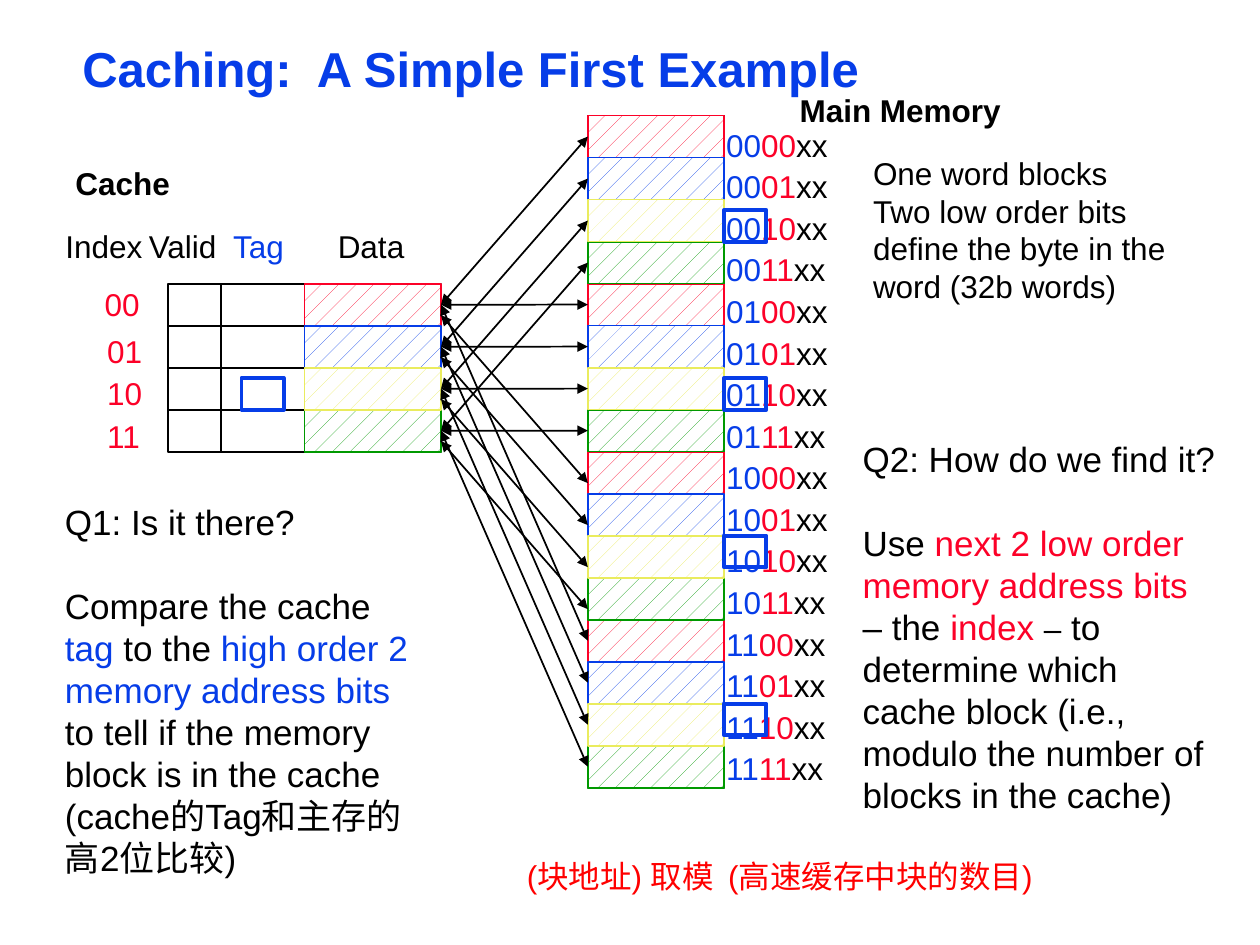
from collections import namedtuple

from lxml.etree import SubElement
from pptx import Presentation
from pptx.dml.color import RGBColor
from pptx.enum.dml import MSO_PATTERN
from pptx.enum.shapes import MSO_CONNECTOR, MSO_SHAPE
from pptx.enum.text import MSO_AUTO_SIZE
from pptx.oxml.ns import qn
from pptx.util import Cm, Pt

BLACK, BLUE, RED, GREEN, YELLOW = "000000", "063DE8", "FC0128", "009900", "EAEC5E"
BLOCK_COLORS = [RED, BLUE, YELLOW, GREEN]
DRAW_ORDER = [0, 3, 1, 2]  # red, green, blue, yellow: later outlines lie on top
INDEXES = ["00", "01", "10", "11"]

# All box measures are centimetres
Box = namedtuple("Box", "left top width height")

deck = Presentation()
deck.slide_width, deck.slide_height = Cm(25.4), Cm(19.05)
page = deck.slides.add_slide(deck.slide_layouts[6])


def color(hex_string):
    return RGBColor.from_string(hex_string)


def add_text(box, *paragraphs, size=18, ink=BLACK, bold=False, wrap=True,
             spacing=None, gap=0, insets=(0.25, 0.13)):
    """Each paragraph is a string or a list of (text, colour[, size]) spans."""
    shape = page.shapes.add_textbox(*map(Cm, box))
    frame = shape.text_frame
    frame.word_wrap = wrap
    frame.auto_size = MSO_AUTO_SIZE.SHAPE_TO_FIT_TEXT
    frame.margin_left = frame.margin_right = Cm(insets[0])
    frame.margin_top = frame.margin_bottom = Cm(insets[1])
    for number, content in enumerate(paragraphs):
        para = frame.add_paragraph() if number else frame.paragraphs[0]
        if spacing:
            para.line_spacing = spacing
        if number and gap:
            para.space_before = Pt(gap)
        spans = [(content, ink)] if isinstance(content, str) else content
        for text, span_color, *span_size in spans:
            span = para.add_run()
            span.text = text
            span.font.name = "Arial"
            span.font.size = Pt(span_size[0] if span_size else size)
            span.font.bold = bold
            span.font.color.rgb = color(span_color)


def add_box(box, line, weight=1, hatch=False):
    shape = page.shapes.add_shape(MSO_SHAPE.RECTANGLE, *map(Cm, box))
    shape.shadow.inherit = False
    shape.line.color.rgb = color(line)
    shape.line.width = Pt(weight)
    if hatch:
        shape.fill.patterned()
        shape.fill.pattern = MSO_PATTERN.PERCENT_5
        shape.fill.fore_color.rgb = color(line)
        shape.fill.back_color.rgb = color("FFFFFF")
    else:
        shape.fill.background()


def add_line(x1, y1, x2, y2, arrows=False):
    line = page.shapes.add_connector(MSO_CONNECTOR.STRAIGHT, *map(Cm, (x1, y1, x2, y2)))
    line.line.color.rgb = color(BLACK)
    line.line.width = Pt(1)
    properties = line._element.spPr
    if arrows:
        for end in ("a:headEnd", "a:tailEnd"):
            SubElement(properties.find(qn("a:ln")), qn(end), type="triangle")
    SubElement(properties, qn("a:effectLst"))


def add_column(box, rows):
    """An outlined column divided into equal rows."""
    add_box(box, BLACK)
    for row in range(1, rows):
        y = box.top + row * box.height / rows
        add_line(box.left, y, box.left + box.width, y)


def add_blocks(box, rows):
    """A column of hatched blocks whose colours repeat by index."""
    add_column(box, rows)
    height = box.height / rows
    for index in DRAW_ORDER:
        for row in range(index, rows, 4):
            add_box(Box(box.left, box.top + row * height, box.width, height),
                    BLOCK_COLORS[index], hatch=True)


def add_tag_frame(left, top):
    add_box(Box(left, top, 0.85, 0.64), BLUE, weight=2.25)


def draw_cache(box):
    valid_width, tag_width = 1.06, 1.69
    tag_left = box.left + valid_width
    data_left = tag_left + tag_width
    add_column(Box(box.left, box.top, valid_width, box.height), 4)
    add_column(Box(tag_left, box.top, tag_width, box.height), 4)
    add_blocks(Box(data_left, box.top, box.left + box.width - data_left, box.height), 4)
    # Headings
    add_text(Box(box.left - 2.12, box.top - 2.54, 2.41, 1.02), "Cache", bold=True, wrap=False)
    headings = [("Index", -2.32, 2.06, BLACK), ("Valid", -0.64, 1.93, BLACK),
                ("Tag", 1.06, 1.6, BLUE), ("Data", 3.17, 1.85, BLACK)]
    for text, shift, width, ink in headings:
        add_text(Box(box.left + shift, box.top - 1.27, width, 1.02), text, ink=ink, wrap=False)
    # Row indexes
    for row, index in enumerate(INDEXES):
        x, y = (-1.48, 0.85 * row) if row else (-1.53, -0.1)
        add_text(Box(box.left + x, box.top + y, 1.22, 1.02), index, ink=RED, wrap=False)
    add_tag_frame(tag_left + 0.42, box.top + 1.9)


def draw_memory(box):
    add_blocks(box, 16)
    right = box.left + box.width
    add_text(Box(right + 1.27, box.top - 0.63, 4.57, 1.02), "Main Memory", bold=True, wrap=False)
    # Word addresses: tag, index, byte
    addresses = [[(tag, BLUE), (index, RED), ("xx", BLACK)]
                 for tag in INDEXES for index in INDEXES]
    add_text(Box(right - 0.21, box.top, 2.75, 13.67), *addresses, spacing=1.1)
    for row, drop in [(2, 0.21), (6, 0.21), (10, 0), (14, 0)]:
        add_tag_frame(right, box.top + row * box.height / 16 + drop)


def draw_mapping(cache, memory):
    """Link every memory block to the cache block with the same index."""
    row_height = memory.height / 16
    for row in range(16):
        shift = 0.21 if row // 4 == 2 else 0
        middle = row_height / 2 + shift
        add_line(memory.left, memory.top + row * row_height + middle,
                 cache.left + cache.width, cache.top + row % 4 * row_height + middle,
                 arrows=True)


def draw_notes():
    add_text(Box(1.06, 9.95, 7.83, 7.95), "Q1: Is it there?",
             [("Compare the cache ", BLACK), ("tag", BLUE), (" to the ", BLACK),
              ("high order 2 memory address bits", BLUE),
              (" to tell if the memory block is in the cache (cache的Tag和主存的高2位比较)", BLACK)],
             size=20, gap=24)
    add_text(Box(17.14, 8.68, 7.62, 7.87), "Q2: How do we find it?",
             [("Use", BLACK), (" next 2 low order memory address bits ", RED),
              ("– the", BLACK), (" index ", RED), ("–", BLACK, 18),
              (" to determine which cache block (i.e., modulo the number of blocks in the cache)",
               BLACK)],
             size=20, gap=24)
    add_text(Box(17.35, 2.97, 6.99, 3.33), "One word blocks",
             "Two low order bits define the byte in the word (32b words)")
    add_text(Box(10.37, 17.14, 15.24, 1.02), "(块地址) 取模  (高速缓存中块的数目)", ink="FF0000")


cache_box = Box(3.39, 5.72, 5.5, 3.39)
memory_box = Box(11.85, 2.33, 2.75, 13.55)

add_text(Box(1.48, 0.85, 22.66, 1.17), "Caching:  A Simple First Example",
         size=28, ink=BLUE, bold=True, spacing=0.87, insets=(0.18, 0.08))
draw_cache(cache_box)
draw_memory(memory_box)
draw_mapping(cache_box, memory_box)
draw_notes()

deck.save("out.pptx")
